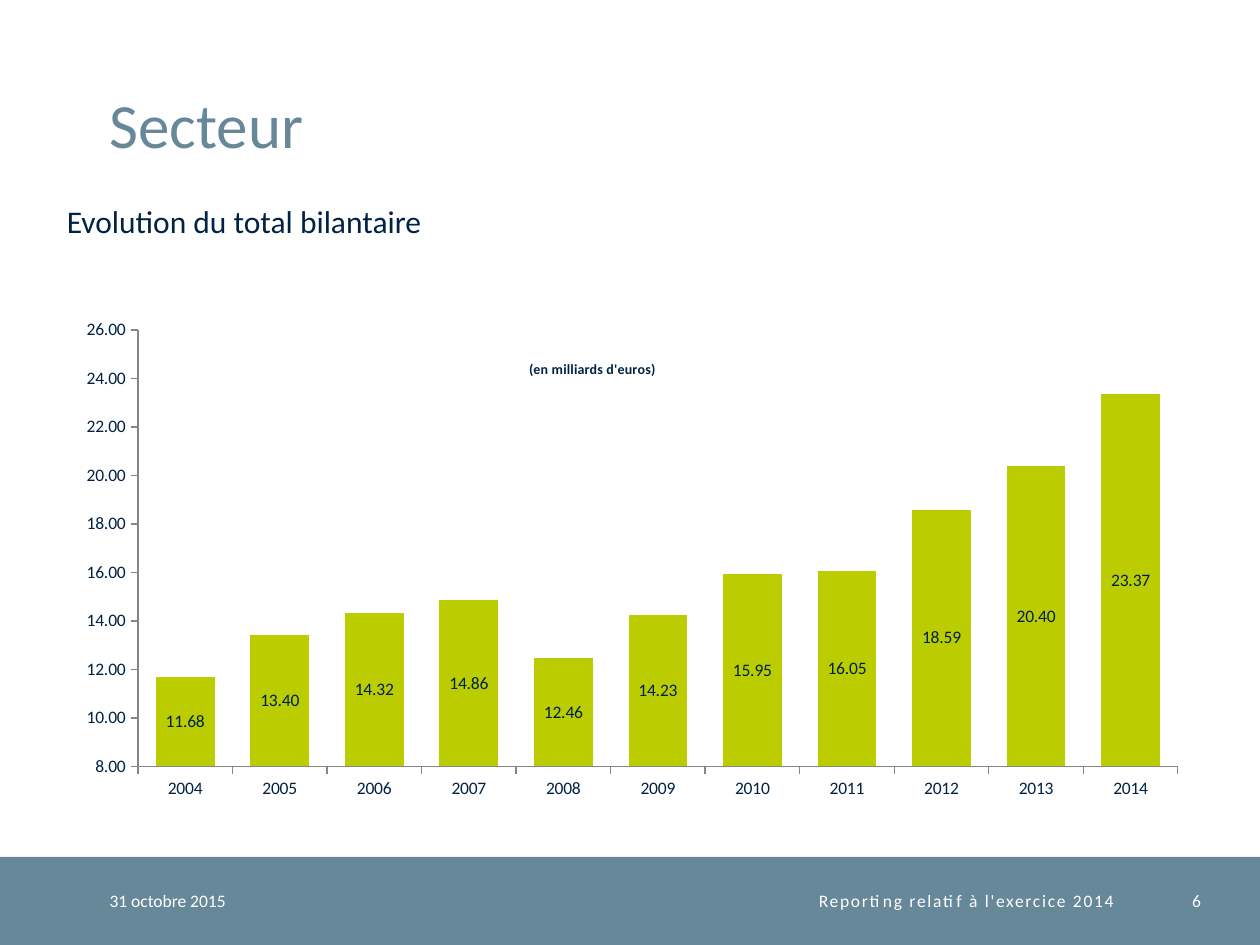
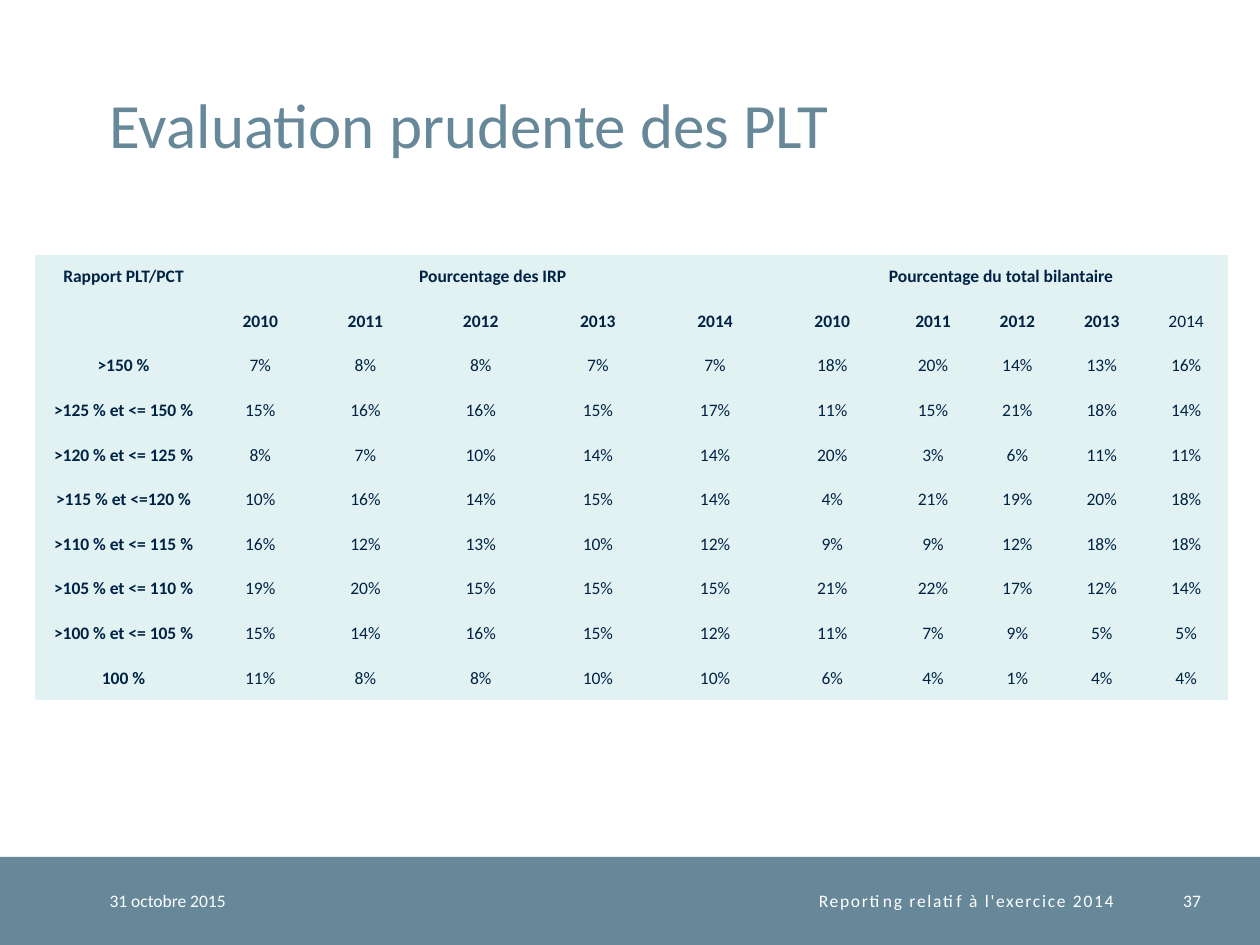
"""Build two report slides: a chart of sector assets and a table of PLT ratios."""
import dataclasses
import pptx
import pptx.chart.data
import pptx.dml.color
import pptx.enum.chart
import pptx.enum.shapes
import pptx.enum.text
import pptx.oxml
import pptx.oxml.ns
import pptx.util

Inches = pptx.util.Inches
Align = pptx.enum.text.PP_ALIGN
Anchor = pptx.enum.text.MSO_ANCHOR


@dataclasses.dataclass(frozen=True)
class Theme:
    font: str = "Calibri"
    slate: str = "668899"
    navy: str = "002244"
    lime: str = "BBCC00"
    pale: str = "E2F2F3"
    white: str = "FFFFFF"
    grey: str = "868686"
    title: int = 36
    lead: int = 18
    body: int = 10
    note: int = 8


THEME = Theme()
YEARS = [str(year) for year in range(2004, 2015)]
ASSETS = [11.68, 13.40, 14.32, 14.86, 12.46, 14.23, 15.95, 16.05, 18.59, 20.40, 23.37]
WIDTHS = [1.4, 0.77, 0.9] + [0.93] * 4 + [0.67] * 4
GROUPS = ["Pourcentage des IRP", "Pourcentage du total bilantaire"]
RATIOS = {
    ">150 %": [7, 8, 8, 7, 7, 18, 20, 14, 13, 16],
    ">125 % et <= 150 %": [15, 16, 16, 15, 17, 11, 15, 21, 18, 14],
    ">120 % et <= 125 %": [8, 7, 10, 14, 14, 20, 3, 6, 11, 11],
    ">115 % et <=120 %": [10, 16, 14, 15, 14, 4, 21, 19, 20, 18],
    ">110 % et <= 115 %": [16, 12, 13, 10, 12, 9, 9, 12, 18, 18],
    ">105 % et <= 110 %": [19, 20, 15, 15, 15, 21, 22, 17, 12, 14],
    ">100 % et <= 105 %": [15, 14, 16, 15, 12, 11, 7, 9, 5, 5],
    "100 %": [11, 8, 8, 10, 10, 6, 4, 1, 4, 4],
}
NO_GRID = "{2D5ABB26-0587-4C30-8999-92F81FD0307C}"


def tint(code):
    return pptx.dml.color.RGBColor.from_string(code)


def style(font, size, color, bold=False):
    font.name = THEME.font
    font.size = pptx.util.Pt(size)
    font.bold = bold
    font.color.rgb = tint(color)


def write(para, text, size, color, bold=False, align=Align.LEFT):
    para.alignment = align
    run = para.add_run()
    run.text = text
    style(run.font, size, color, bold)
    return run


def clear(box):
    box.margin_left = box.margin_right = box.margin_top = box.margin_bottom = 0


def add_text(slide, area, text, size, color, anchor=Anchor.MIDDLE, align=Align.LEFT):
    frame = slide.shapes.add_textbox(*map(Inches, area)).text_frame
    frame.word_wrap = True
    frame.vertical_anchor = anchor
    clear(frame)
    run = write(frame.paragraphs[0], text, size, color, align=align)
    return frame, run


def add_page(deck, title, number):
    slide = deck.slides.add_slide(deck.slide_layouts[6])
    band = slide.shapes.add_shape(
        pptx.enum.shapes.MSO_SHAPE.RECTANGLE, *map(Inches, (0, 6.8, 10, 0.7)))
    band.shadow.inherit = False
    band.fill.solid()
    band.fill.fore_color.rgb = tint(THEME.slate)
    band.line.fill.background()
    frame, _ = add_text(slide, (0.87, 0.2, 8.63, 1.08), title,
                        THEME.title, THEME.slate, Anchor.BOTTOM)
    frame.paragraphs[0].line_spacing = pptx.util.Pt(32)
    add_text(slide, (0.87, 6.8, 1.77, 0.7), "31 octobre 2015", THEME.body, THEME.white)
    _, run = add_text(slide, (2.64, 6.8, 6.2, 0.7), "Reporting relatif à l'exercice 2014",
                      THEME.body, THEME.white, align=Align.RIGHT)
    run.font._element.set("spc", "100")
    add_text(slide, (9.04, 6.8, 0.49, 0.7), str(number),
             THEME.body, THEME.white, align=Align.RIGHT)
    return slide


def place(node, index, **parts):
    """Give a chart part a manual layout, in shares of the chart."""
    for old in node.findall(pptx.oxml.ns.qn("c:layout")):
        node.remove(old)
    inner = '<c:layoutTarget val="inner"/>' if "w" in parts else ""
    modes = "".join(f'<c:{key}Mode val="edge"/>' for key in "xy")
    sizes = "".join(f'<c:{key} val="{share}"/>' for key, share in parts.items())
    node.insert(index, pptx.oxml.parse_xml(
        f'<c:layout {pptx.oxml.ns.nsdecls("c")}><c:manualLayout>'
        f'{inner}{modes}{sizes}</c:manualLayout></c:layout>'))


def set_axis(axis):
    axis.has_major_gridlines = False
    axis.major_tick_mark = pptx.enum.chart.XL_TICK_MARK.OUTSIDE
    axis.format.line.color.rgb = tint(THEME.grey)
    style(axis.tick_labels.font, THEME.body, THEME.navy)


def add_bars(slide, area, caption, cats, vals):
    data = pptx.chart.data.CategoryChartData(number_format="0.00")
    data.categories = cats
    data.add_series("Series 1", vals)
    kind = pptx.enum.chart.XL_CHART_TYPE.COLUMN_STACKED
    chart = slide.shapes.add_chart(kind, *map(Inches, area), data).chart
    style(chart.font, THEME.body, THEME.navy)
    chart.has_legend = False

    title = chart.chart_title
    write(title.text_frame.paragraphs[0], caption, THEME.note, THEME.navy, True, Align.CENTER)
    title.include_in_layout = True
    place(title._element, 1, x=0.41, y=0.17)
    place(chart._chartSpace.chart.plotArea, 0, x=0.07, y=0.12, w=0.91, h=0.8)

    set_axis(chart.category_axis)
    scale = chart.value_axis
    set_axis(scale)
    scale.minimum_scale, scale.maximum_scale, scale.major_unit = 8, 26, 2
    scale.tick_labels.number_format = "#,##0.00"
    scale.tick_labels.number_format_is_linked = False

    plot = chart.plots[0]
    plot.gap_width, plot.overlap = 61, 100
    plot.vary_by_categories = False
    fill = plot.series[0].format.fill
    fill.solid()
    fill.fore_color.rgb = tint(THEME.lime)
    plot.has_data_labels = True
    labels = plot.data_labels
    labels.show_value = True
    labels.number_format = "0.00"
    labels.number_format_is_linked = False
    labels.position = pptx.enum.chart.XL_LABEL_POSITION.CENTER
    style(labels.font, THEME.body, THEME.navy)


def fill_cell(cell, text, bold):
    clear(cell)
    cell.vertical_anchor = Anchor.MIDDLE
    cell.fill.solid()
    cell.fill.fore_color.rgb = tint(THEME.pale)
    if text:
        write(cell.text_frame.paragraphs[0], text, THEME.body, THEME.navy, bold, Align.CENTER)


def add_grid(slide, area, widths, rows):
    shape = slide.shapes.add_table(len(rows), len(widths), *map(Inches, area))
    table = shape.table
    table.first_row = table.horz_banding = False
    table._tbl.tblPr.find(pptx.oxml.ns.qn("a:tableStyleId")).text = NO_GRID
    for col, width in zip(table.columns, widths):
        col.width = Inches(width)
    last = len(widths) - 1
    for r, row in enumerate(rows):
        table.rows[r].height = Inches(area[3] / len(rows))
        for c, text in enumerate(row):
            bold = c == 0 or r == 0 or (r == 1 and c < last)
            fill_cell(table.cell(r, c), text, bold)
    for start in (1, 6):
        table.cell(0, start).merge(table.cell(0, start + 4))


def main():
    deck = pptx.Presentation()
    deck.slide_width, deck.slide_height = Inches(10), Inches(7.5)

    sector = add_page(deck, "Secteur", 6)
    add_text(sector, (0.53, 1.6, 4.05, 0.3), "Evolution du total bilantaire",
             THEME.lead, THEME.navy, Anchor.TOP)
    add_bars(sector, (0.46, 2.1, 9.07, 4.33), "(en milliards d'euros)", YEARS, ASSETS)

    ratio = add_page(deck, "Evaluation prudente des PLT", 37)
    heads = ["Rapport PLT/PCT"]
    for group in GROUPS:
        heads += [group] + [""] * 4
    rows = [heads, [""] + YEARS[-5:] * 2]
    rows += [[name] + [f"{val}%" for val in vals] for name, vals in RATIOS.items()]
    add_grid(ratio, (0.28, 2.02, 9.45, 3.54), WIDTHS, rows)

    deck.save("out.pptx")


if __name__ == "__main__":
    main()
